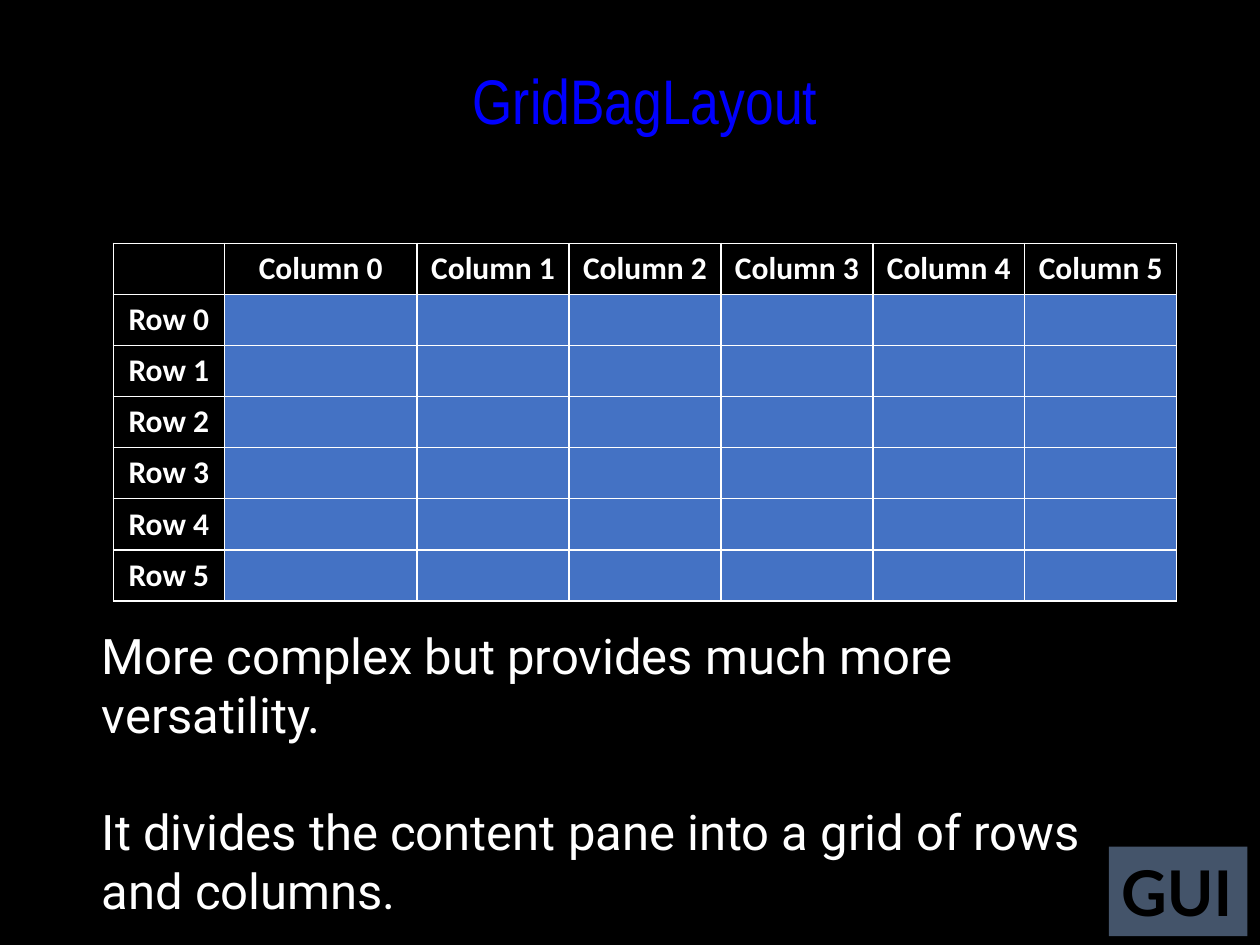
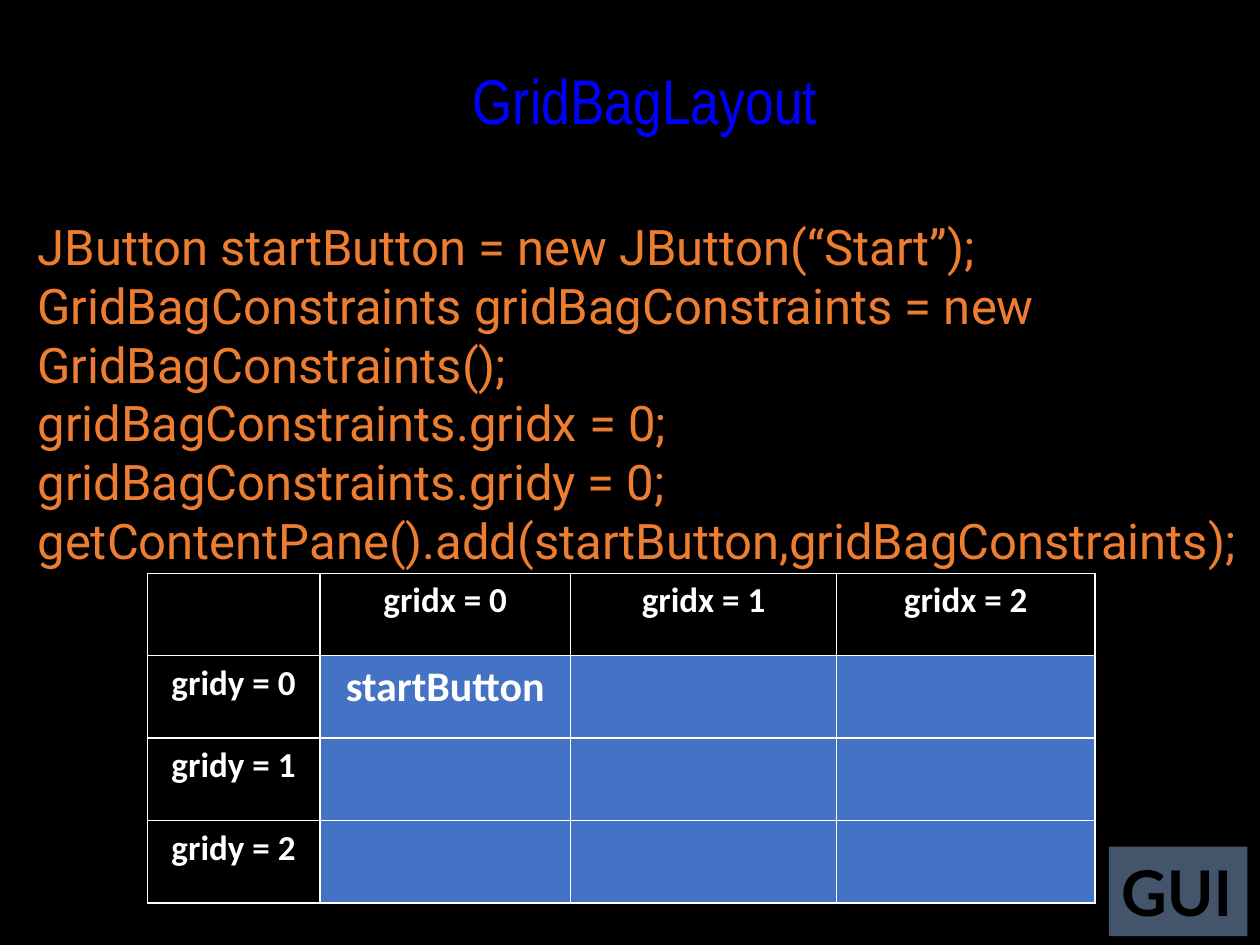
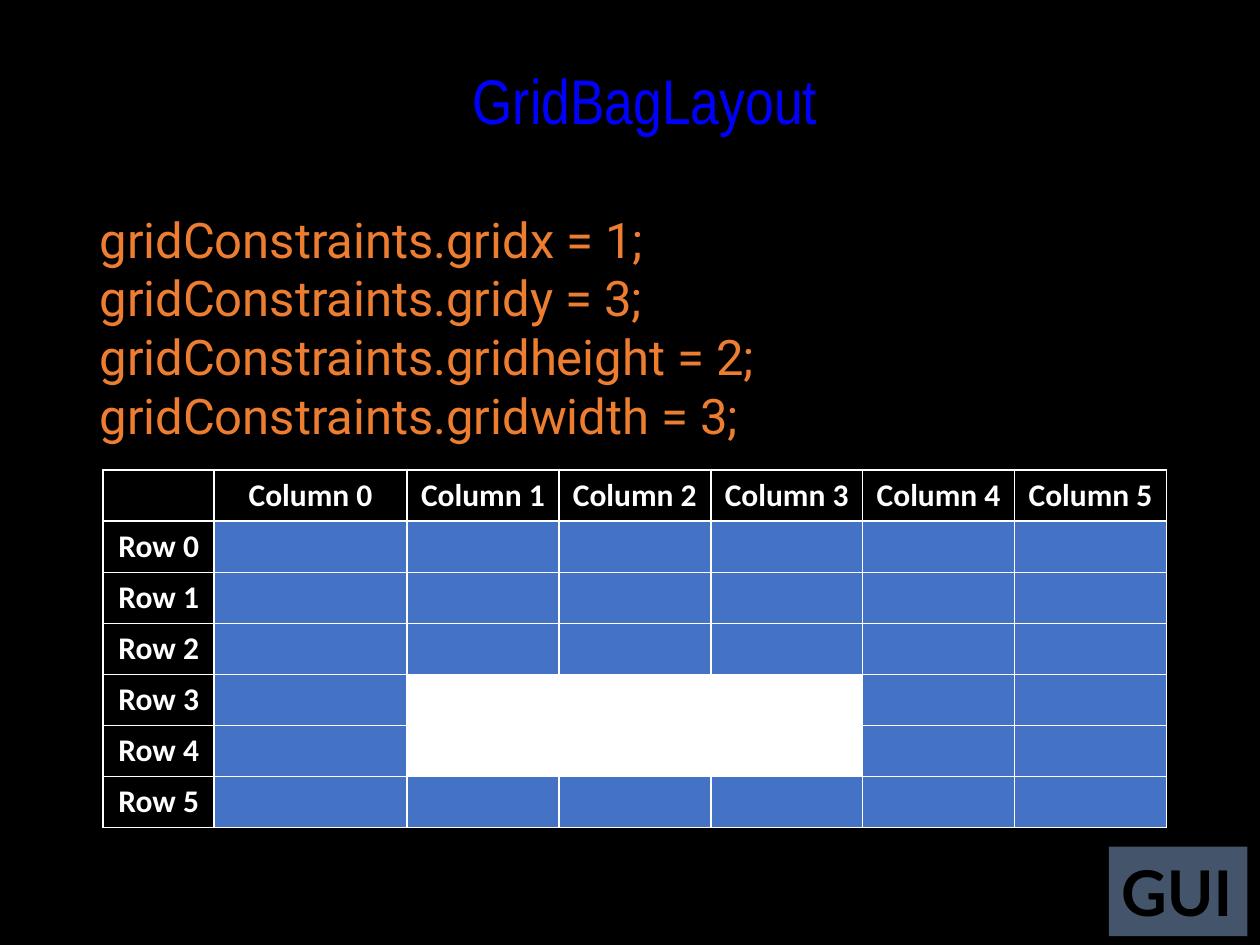
from lxml import etree
from pptx import Presentation
from pptx.dml.color import RGBColor
from pptx.enum import shapes, text
from pptx.oxml import ns
from pptx.util import Pt

BLACK, WHITE, ORANGE = "000000", "FFFFFF", "ED7D31"
BLUE, YELLOW, SLATE, GRID_BLUE = "0000FF", "FFFF00", "44546A", "4472C4"


def style(font, size, face, color, bold=False):
    font.size, font.name, font.bold = Pt(size), face, bold
    font.color.rgb = RGBColor.from_string(color)


def add_line(parent, tag, color, width):
    """Append a solid outline element to text or cell properties."""
    line = etree.SubElement(parent, ns.qn(tag), w=str(Pt(width)))
    fill = etree.SubElement(line, ns.qn("a:solidFill"))
    etree.SubElement(fill, ns.qn("a:srgbClr"), val=color)


column_names = [f"Column {i}" for i in range(6)]
row_names = [f"Row {i}" for i in range(6)]
six_grid = {
    "columns": column_names, "rows": row_names, "size": 18,
    "widths": [63.4, 110.2] + [86.8] * 5, "height": 29.2,
}
pages = [
    {
        "lines": ["More complex but provides much more versatility.",
                  "It divides the content pane into a grid of rows and columns."],
        "body": (51.1, 354.2, 620.6, 177.1), "color": WHITE, "inset": 7.2, "gap": 33,
        "grid": six_grid, "corner": (64.8, 139), "labels": {}, "occupied": set(),
    },
    {
        "lines": ["JButton startButton = new JButton(“Start”);",
                  "GridBagConstraints gridBagConstraints = new GridBagConstraints();",
                  "gridBagConstraints.gridx = 0;",
                  "gridBagConstraints.gridy = 0;",
                  "getContentPane().add(startButton,gridBagConstraints);"],
        "body": (14.4, 120.2, 702, 211), "color": ORANGE, "inset": 7.2, "gap": 0,
        "grid": {
            "columns": [f"gridx = {i}" for i in range(3)],
            "rows": [f"gridy = {i}" for i in range(3)], "size": 20,
            "widths": [98.6, 143.3, 152, 147.6], "height": 47.1,
        },
        "corner": (84.2, 327.6), "labels": {(1, 1): "startButton"}, "occupied": set(),
    },
    {
        "lines": ["gridConstraints.gridx = 1;",
                  "gridConstraints.gridy = 3;",
                  "gridConstraints.gridheight = 2;",
                  "gridConstraints.gridwidth = 3;"],
        "body": (31.7, 115.9, 468.7, 143.3), "color": ORANGE, "inset": 25.2, "gap": 0,
        "grid": six_grid, "corner": (59, 268.6), "labels": {},
        "occupied": {(r, c) for r in (4, 5) for c in (2, 3, 4)},
    },
]

prs = Presentation()
prs.slide_width, prs.slide_height = Pt(720), Pt(540)
background = prs.slide_master.background.fill
background.solid()
background.fore_color.rgb = RGBColor.from_string(BLACK)

for page in pages:
    slide = prs.slides.add_slide(prs.slide_layouts[5])

    # Title
    title = slide.shapes.title
    title.left, title.top, title.width, title.height = Pt(84.2), Pt(30.2), Pt(568.8), Pt(76.3)
    frame = title.text_frame
    frame.text = "GridBagLayout"
    frame.word_wrap = False
    frame.auto_size = text.MSO_AUTO_SIZE.NONE
    frame.vertical_anchor = text.MSO_ANCHOR.TOP
    frame.margin_top = Pt(5)
    heading = frame.paragraphs[0]
    heading.alignment = text.PP_ALIGN.CENTER
    style(heading.font, 36, "Arial Narrow", BLUE)
    add_line(heading.runs[0]._r.get_or_add_rPr(), "a:ln", YELLOW, 2)

    # Topic badge
    badge = slide.shapes.add_shape(
        shapes.MSO_SHAPE.RECTANGLE, Pt(633.6), Pt(483.8), Pt(79.2), Pt(51.1))
    badge.shadow.inherit = False
    badge.fill.solid()
    badge.fill.fore_color.rgb = RGBColor.from_string(SLATE)
    badge.line.fill.background()
    badge.text_frame.text = "GUI"
    badge.text_frame.word_wrap = False
    topic = badge.text_frame.paragraphs[0]
    topic.alignment = text.PP_ALIGN.LEFT
    style(topic.font, 36, "Lato", BLACK, bold=True)

    # Explanation or code
    frame = slide.shapes.add_textbox(*map(Pt, page["body"])).text_frame
    frame.word_wrap = True
    frame.auto_size = text.MSO_AUTO_SIZE.SHAPE_TO_FIT_TEXT
    frame.margin_left = Pt(page["inset"])
    frame.text = "\n".join(page["lines"])
    for i, paragraph in enumerate(frame.paragraphs):
        if i and page["gap"]:
            paragraph.space_before = Pt(page["gap"])
        style(paragraph.font, 28, "Roboto", page["color"])

    # Layout grid
    grid = page["grid"]
    widths, row_count = grid["widths"], len(grid["rows"]) + 1
    table = slide.shapes.add_table(
        row_count, len(widths), *map(Pt, page["corner"]),
        Pt(sum(widths)), Pt(grid["height"] * row_count)).table
    table.first_row = table.horz_banding = False
    for column, width in zip(table.columns, widths):
        column.width = Pt(width)
    labels = {(0, c): name for c, name in enumerate(grid["columns"], 1)}
    labels |= {(r, 0): name for r, name in enumerate(grid["rows"], 1)}
    labels |= page["labels"]
    for r, row in enumerate(table.rows):
        row.height = Pt(grid["height"])
        for c, cell in enumerate(row.cells):
            for side in ("a:lnL", "a:lnR", "a:lnT", "a:lnB"):
                add_line(cell._tc.get_or_add_tcPr(), side, WHITE, 1)
            is_header = r == 0 or c == 0
            color = BLACK if is_header else WHITE if (r, c) in page["occupied"] else GRID_BLUE
            cell.fill.solid()
            cell.fill.fore_color.rgb = RGBColor.from_string(color)
            if (r, c) in labels:
                cell.text = labels[r, c]
                label = cell.text_frame.paragraphs[0]
                label.alignment = text.PP_ALIGN.CENTER
                style(label.font, grid["size"] if is_header else 24, "Calibri", WHITE, bold=True)

prs.save("out.pptx")
